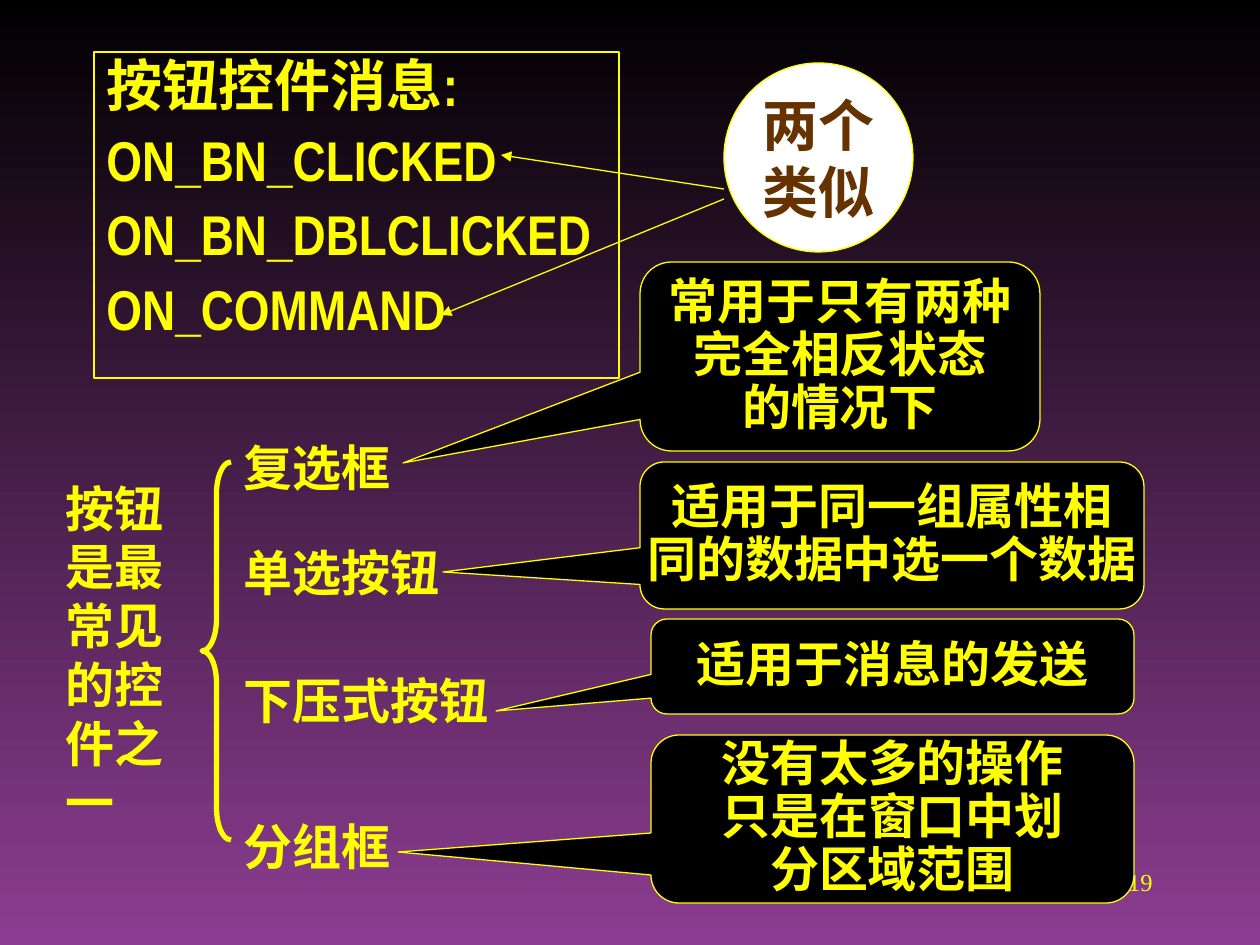
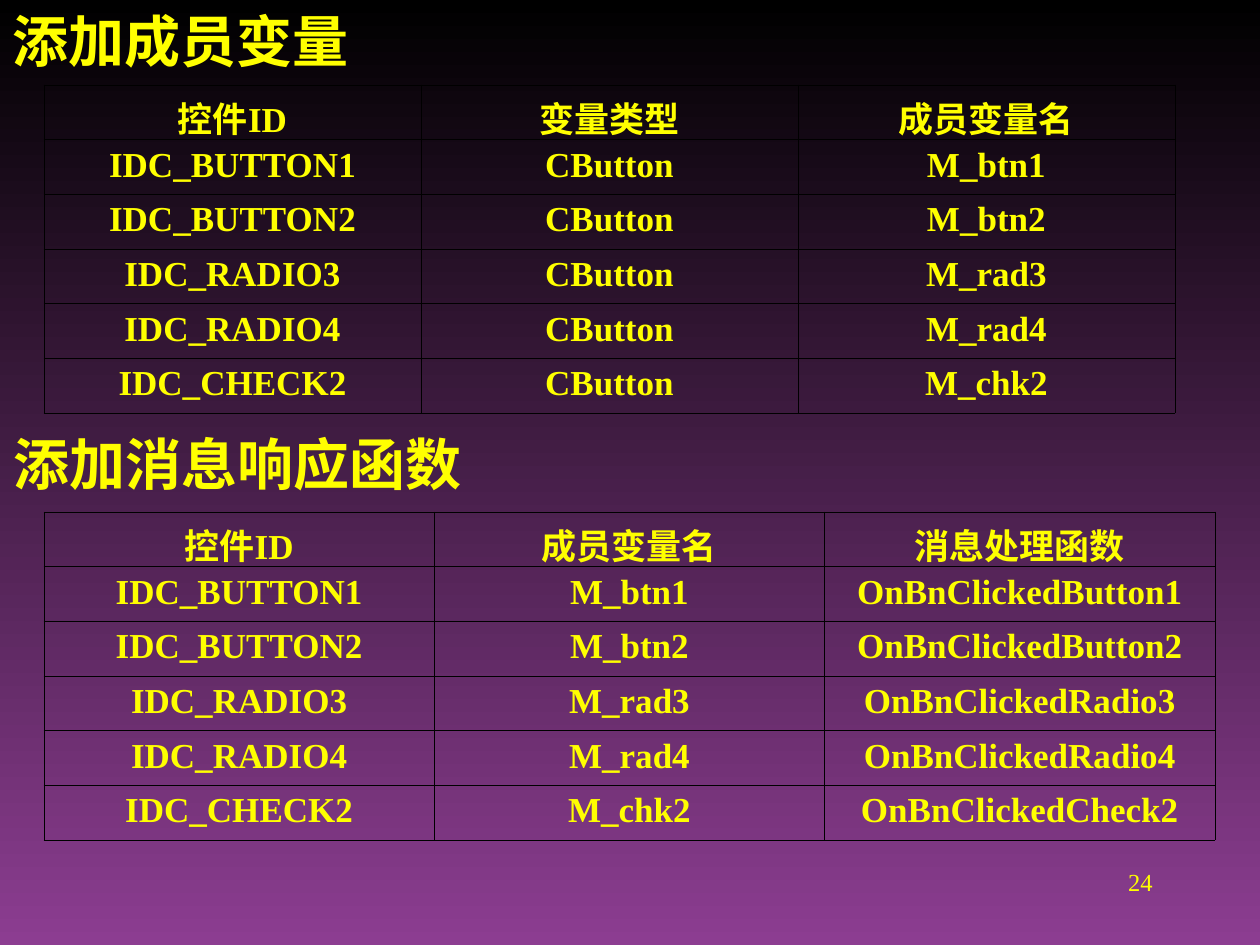
from dataclasses import dataclass

from lxml.etree import SubElement
from pptx import Presentation
from pptx.dml.color import RGBColor
from pptx.enum.shapes import MSO_CONNECTOR as Connector, MSO_SHAPE as Preset
from pptx.enum.text import MSO_ANCHOR as Anchor, PP_ALIGN as Align
from pptx.oxml import parse_xml
from pptx.oxml.ns import nsdecls, qn
from pptx.shapes.autoshape import Shape
from pptx.slide import Slide
from pptx.text.text import TextFrame
from pptx.util import Emu, Pt

YELLOW = RGBColor(0xFF, 0xFF, 0x00)
BLACK = RGBColor(0x00, 0x00, 0x00)
WHITE = RGBColor(0xFF, 0xFF, 0xFF)
BROWN = RGBColor(0x66, 0x33, 0x00)
PURPLE = RGBColor(0x8C, 0x3D, 0x91)

PX_PER_INCH = 126
CJK_FONT = "Noto Sans CJK SC"
THIN_LINE = Pt(0.75)
BLANK_LAYOUT = 6


def px(length: float) -> Emu:
    return Emu(round(length * 914400 / PX_PER_INCH))


@dataclass(frozen=True)
class Box:
    left: int
    top: int
    width: int
    height: int

    def emu(self) -> tuple[Emu, Emu, Emu, Emu]:
        return px(self.left), px(self.top), px(self.width), px(self.height)


@dataclass(frozen=True)
class TextStyle:
    size: int
    font: str
    color: RGBColor = YELLOW
    bold: bool = True
    align: Align = Align.LEFT
    line_spacing: float = 1.0
    space_before: int = 0
    hanging: int = 0


@dataclass(frozen=True)
class ButtonKind:
    """A kind of button: its label, and the callout whose tip points at it."""
    label: str
    label_top: int
    label_width: int
    callout: Box
    tip: tuple[int, int]
    usage: tuple[str, ...]


@dataclass(frozen=True)
class ControlTable:
    title: str
    title_box: Box
    title_style: TextStyle
    box: Box
    rows: list[tuple[str, ...]]


PAGE_NUMBER = TextStyle(14, "Times New Roman", bold=False, align=Align.RIGHT)
MESSAGES = TextStyle(32, "Arial Narrow", line_spacing=0.9, space_before=8, hanging=48)
SIMILAR = TextStyle(32, CJK_FONT, BROWN, align=Align.CENTER)
LABEL = TextStyle(28, "Calibri")
USAGE = TextStyle(28, "Calibri", align=Align.CENTER, line_spacing=0.9)
CELL = TextStyle(20, "Times New Roman", align=Align.CENTER)

BUTTON_KINDS = [
    ButtonKind("复选框", 431, 194, Box(640, 262, 400, 189), (403, 463),
               ("常用于只有两种", "完全相反状态", "的情况下")),
    ButtonKind("单选按钮", 536, 242, Box(640, 462, 504, 147), (443, 572),
               ("适用于同一组属性相", "同的数据中选一个数据")),
    ButtonKind("下压式按钮", 664, 284, Box(651, 619, 483, 95), (496, 711),
               ("适用于消息的发送",)),
    ButtonKind("分组框", 810, 194, Box(651, 735, 483, 168), (398, 852),
               ("没有太多的操作", "只是在窗口中划", "分区域范围")),
]

# Control ID suffix, member variable, handler suffix
CONTROLS = [
    ("BUTTON1", "M_btn1", "Button1"),
    ("BUTTON2", "M_btn2", "Button2"),
    ("RADIO3", "M_rad3", "Radio3"),
    ("RADIO4", "M_rad4", "Radio4"),
    ("CHECK2", "M_chk2", "Check2"),
]

TABLES = [
    ControlTable(
        "添加成员变量", Box(0, 0, 1178, 81), TextStyle(32, "Arial Narrow"),
        Box(44, 85, 1131, 328),
        [("控件ID", "变量类型", "成员变量名")]
        + [(f"IDC_{control}", "CButton", member) for control, member, _ in CONTROLS]),
    ControlTable(
        "添加消息响应函数", Box(1, 423, 474, 81), TextStyle(32, "Times New Roman"),
        Box(44, 512, 1171, 328),
        [("控件ID", "成员变量名", "消息处理函数")]
        + [(f"IDC_{control}", member, f"OnBnClicked{handler}")
           for control, member, handler in CONTROLS]),
]


def write_text(frame: TextFrame, lines: tuple[str, ...], style: TextStyle) -> None:
    for index, line in enumerate(lines):
        paragraph = frame.add_paragraph() if index else frame.paragraphs[0]
        paragraph.alignment = style.align
        paragraph.line_spacing = style.line_spacing
        paragraph.space_before = Pt(style.space_before if index else 0)
        if style.hanging:
            properties = paragraph._p.get_or_add_pPr()
            properties.set("marL", str(px(style.hanging)))
            properties.set("indent", str(-px(style.hanging)))
        run = paragraph.add_run()
        run.text = line
        run.font.size = Pt(style.size)
        run.font.bold = style.bold
        run.font.color.rgb = style.color
        run.font.name = style.font
        SubElement(run._r.get_or_add_rPr(), qn("a:ea"), typeface=CJK_FONT)


def add_text(slide: Slide, box: Box, text: str, style: TextStyle) -> None:
    frame = slide.shapes.add_textbox(*box.emu()).text_frame
    frame.word_wrap = True
    write_text(frame, (text,), style)


def add_outlined(slide: Slide, preset: Preset, box: Box, fill: RGBColor | None = None,
                 line_width: Pt = THIN_LINE) -> Shape:
    shape = slide.shapes.add_shape(preset, *box.emu())
    shape.shadow.inherit = False
    if fill is None:
        shape.fill.background()
    else:
        shape.fill.solid()
        shape.fill.fore_color.rgb = fill
    shape.line.color.rgb = YELLOW
    shape.line.width = line_width
    return shape


def add_arrow(slide: Slide, start: tuple[int, int], end: tuple[int, int]) -> None:
    arrow = slide.shapes.add_connector(Connector.STRAIGHT, *map(px, start + end))
    arrow.line.color.rgb = YELLOW
    arrow.line.width = THIN_LINE
    SubElement(arrow.line._get_or_add_ln(), qn("a:tailEnd"), type="triangle")
    SubElement(arrow._element.spPr, qn("a:effectLst"))


def add_button_kind(slide: Slide, kind: ButtonKind) -> None:
    add_text(slide, Box(231, kind.label_top, kind.label_width, 72), kind.label, LABEL)
    box = kind.callout
    callout = add_outlined(slide, Preset.ROUNDED_RECTANGULAR_CALLOUT, box, BLACK)
    # The tip is given relative to the centre, as a share of the size.
    callout.adjustments[0] = (kind.tip[0] - box.left) / box.width - 0.5
    callout.adjustments[1] = (kind.tip[1] - box.top) / box.height - 0.5
    callout.text_frame.word_wrap = False
    callout.text_frame.vertical_anchor = Anchor.MIDDLE
    write_text(callout.text_frame, kind.usage, USAGE)


def add_control_table(slide: Slide, spec_table: ControlTable) -> None:
    add_text(slide, spec_table.title_box, spec_table.title, spec_table.title_style)
    rows = spec_table.rows
    table = slide.shapes.add_table(len(rows), len(rows[0]), *spec_table.box.emu()).table
    table.first_row = table.horz_banding = False
    for row_index, row in enumerate(rows):
        for column_index, text in enumerate(row):
            cell = table.cell(row_index, column_index)
            cell.fill.background()
            properties = cell._tc.get_or_add_tcPr()
            for position, side in enumerate(("lnL", "lnR", "lnT", "lnB")):
                properties.insert(position, parse_xml(
                    f'<a:{side} {nsdecls("a")} w="{Pt(0.45)}"><a:solidFill>'
                    f'<a:srgbClr val="{BLACK}"/></a:solidFill></a:{side}>'))
            write_text(cell.text_frame, (text,), CELL)


def add_numbered_slide(presentation: Presentation, number: int) -> Slide:
    slide = presentation.slides.add_slide(presentation.slide_layouts[BLANK_LAYOUT])
    add_text(slide, Box(903, 861, 262, 63), str(number), PAGE_NUMBER)
    return slide


def paint_background(presentation: Presentation) -> None:
    fill = presentation.slide_master.background.fill
    fill.gradient()
    fill.gradient_angle = 270
    for stop, color in zip(fill.gradient_stops, (BLACK, PURPLE)):
        stop.color.rgb = color


def build_button_slide(presentation: Presentation) -> None:
    slide = add_numbered_slide(presentation, 19)
    messages = add_outlined(slide, Preset.RECTANGLE, Box(94, 52, 525, 326))
    messages.text_frame.word_wrap = True
    messages.text_frame.vertical_anchor = Anchor.TOP
    write_text(messages.text_frame,
               ("按钮控件消息:", "ON_BN_CLICKED", "ON_BN_DBLCLICKED", "ON_COMMAND"),
               MESSAGES)

    similar = add_outlined(slide, Preset.OVAL, Box(724, 63, 189, 189), WHITE)
    similar.text_frame.word_wrap = False
    similar.text_frame.vertical_anchor = Anchor.MIDDLE
    write_text(similar.text_frame, ("两个", "类似"), SIMILAR)
    add_arrow(slide, (724, 189), (501, 155))
    add_arrow(slide, (724, 199), (441, 315))

    add_text(slide, Box(53, 472, 136, 365), "按钮是最常见的控件之一", LABEL)
    brace = add_outlined(slide, Preset.LEFT_BRACE, Box(202, 462, 29, 378),
                         line_width=Pt(3))
    brace.adjustments[0] = 1.09
    for kind in BUTTON_KINDS:
        add_button_kind(slide, kind)


def build_table_slide(presentation: Presentation) -> None:
    slide = add_numbered_slide(presentation, 24)
    for control_table in TABLES:
        add_control_table(slide, control_table)


def main() -> None:
    presentation = Presentation()
    presentation.slide_width, presentation.slide_height = px(1260), px(945)
    paint_background(presentation)
    build_button_slide(presentation)
    build_table_slide(presentation)
    presentation.save("out.pptx")


if __name__ == "__main__":
    main()
